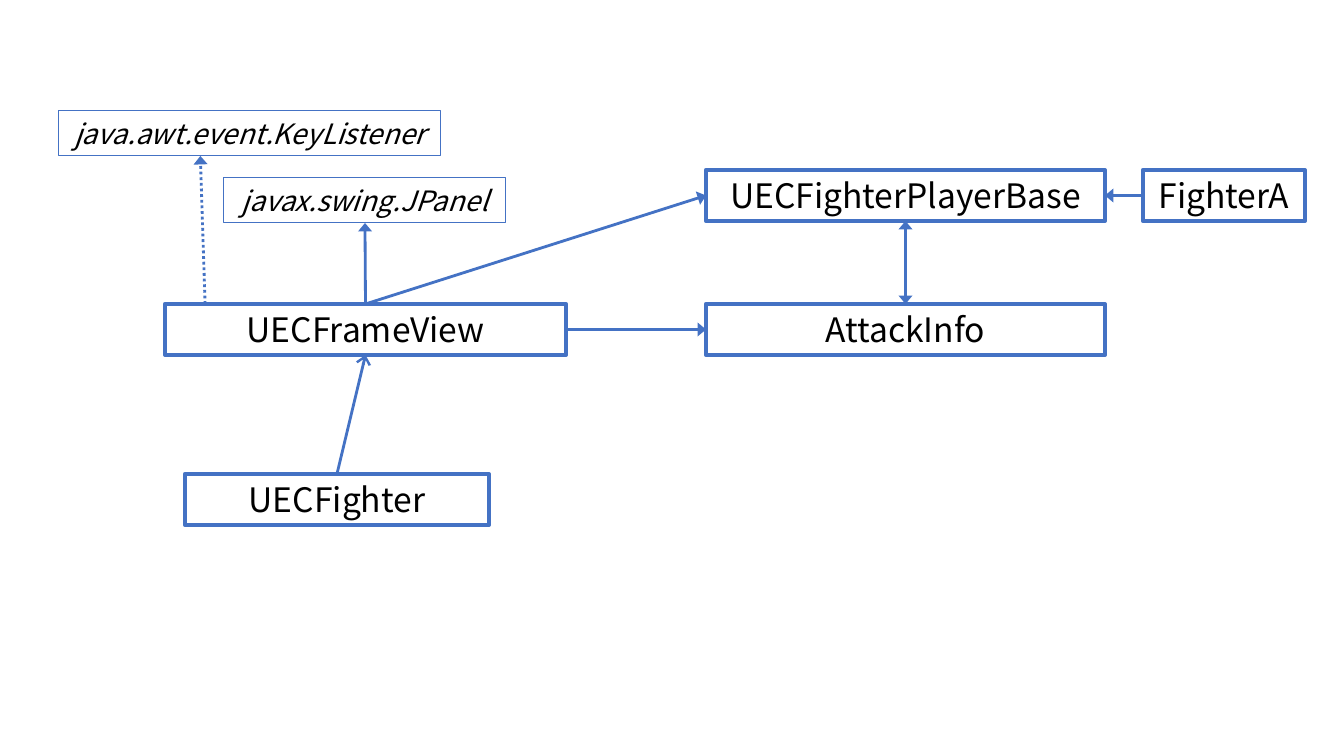
import pptx
import pptx.util
import pptx.dml.color
import pptx.enum.dml
import pptx.enum.shapes
import pptx.enum.text
import pptx.oxml

COLORS = {"line": "4472C4", "text": "000000"}
FONT = "Noto Sans CJK JP"
SCALE = 914400 / 100.8

STYLES = {
    "class": {"height": 51, "size": 24, "line": 3, "italic": False},
    "library": {"height": 45, "size": 20, "line": 0.75, "italic": True},
}
BOXES = [
    ("UECFighterPlayerBase", "class", 706, 170, 399),
    ("FighterA", "class", 1143, 170, 162),
    ("UECFrameView", "class", 165, 304, 401),
    ("javax.swing.JPanel", "library", 224, 178, 282),
    ("UECFighter", "class", 185, 474, 304),
    ("java.awt.event.KeyListener", "library", 59, 111, 382),
    ("AttackInfo", "class", 706, 304, 399),
]
SIDES = {
    "top": (0.5, 0, 0),
    "left": (0, 0.5, 1),
    "bottom": (0.5, 1, 2),
    "right": (1, 0.5, 3),
    "top near left": (0.1, 0, None),
    "bottom near left": (0.37, 1, None),
}
ARROWS = [
    ("FighterA", "left", "UECFighterPlayerBase", "right", None, "triangle", False),
    ("UECFrameView", "top", "javax.swing.JPanel", "bottom", None, "triangle", False),
    ("UECFighter", "top", "UECFrameView", "bottom", None, "arrow", False),
    ("UECFrameView", "top near left", "java.awt.event.KeyListener", "bottom near left",
     None, "triangle", True),
    ("UECFrameView", "right", "AttackInfo", "left", None, "triangle", False),
    ("UECFighterPlayerBase", "bottom", "AttackInfo", "top", "triangle", "triangle", False),
    ("UECFighterPlayerBase", "left", "UECFrameView", "top", "triangle", None, False),
]


def emu(pixels):
    return pptx.util.Emu(round(pixels * SCALE))


def color(name):
    return pptx.dml.color.RGBColor.from_string(COLORS[name])


def set_line(line, width):
    line.color.rgb = color("line")
    line.width = pptx.util.Pt(width)


def add_box(slide, text, style, left, top, width):
    look = STYLES[style]
    shape = slide.shapes.add_shape(
        pptx.enum.shapes.MSO_SHAPE.RECTANGLE,
        emu(left), emu(top), emu(width), emu(look["height"]))
    shape.shadow.inherit = False
    shape.fill.background()
    set_line(shape.line, look["line"])
    frame = shape.text_frame
    frame.word_wrap = False
    frame.vertical_anchor = pptx.enum.text.MSO_ANCHOR.MIDDLE
    paragraph = frame.paragraphs[0]
    paragraph.alignment = pptx.enum.text.PP_ALIGN.CENTER
    run = paragraph.add_run()
    run.text = text
    run.font.size = pptx.util.Pt(look["size"])
    run.font.italic = look["italic"]
    run.font.color.rgb = color("text")
    run.font.name = FONT
    return shape


def anchor(shape, side):
    across, down, site = SIDES[side]
    return (round(shape.left + across * shape.width),
            round(shape.top + down * shape.height), site)


def add_arrow(slide, source, source_side, target, target_side, head, tail, dotted):
    start_x, start_y, start_site = anchor(source, source_side)
    end_x, end_y, end_site = anchor(target, target_side)
    connector = slide.shapes.add_connector(
        pptx.enum.shapes.MSO_CONNECTOR.STRAIGHT, start_x, start_y, end_x, end_y)
    if start_site is not None:
        connector.begin_connect(source, start_site)
    if end_site is not None:
        connector.end_connect(target, end_site)
    set_line(connector.line, 2)
    if dotted:
        connector.line.dash_style = pptx.enum.dml.MSO_LINE.ROUND_DOT
    properties = connector._element.spPr
    line = properties.find(pptx.oxml.ns.qn("a:ln"))
    for tag, kind in (("a:headEnd", head), ("a:tailEnd", tail)):
        if kind:
            line.append(line.makeelement(
                pptx.oxml.ns.qn(tag), {"type": kind, "w": "lg", "len": "med"}))
    properties.append(properties.makeelement(pptx.oxml.ns.qn("a:effectLst"), {}))


presentation = pptx.Presentation()
presentation.slide_width = emu(1344)
presentation.slide_height = emu(756)
slide = presentation.slides.add_slide(presentation.slide_layouts[6])

shapes = {box[0]: add_box(slide, *box) for box in BOXES}
for source, source_side, target, target_side, head, tail, dotted in ARROWS:
    add_arrow(slide, shapes[source], source_side, shapes[target], target_side,
              head, tail, dotted)

presentation.save("out.pptx")
